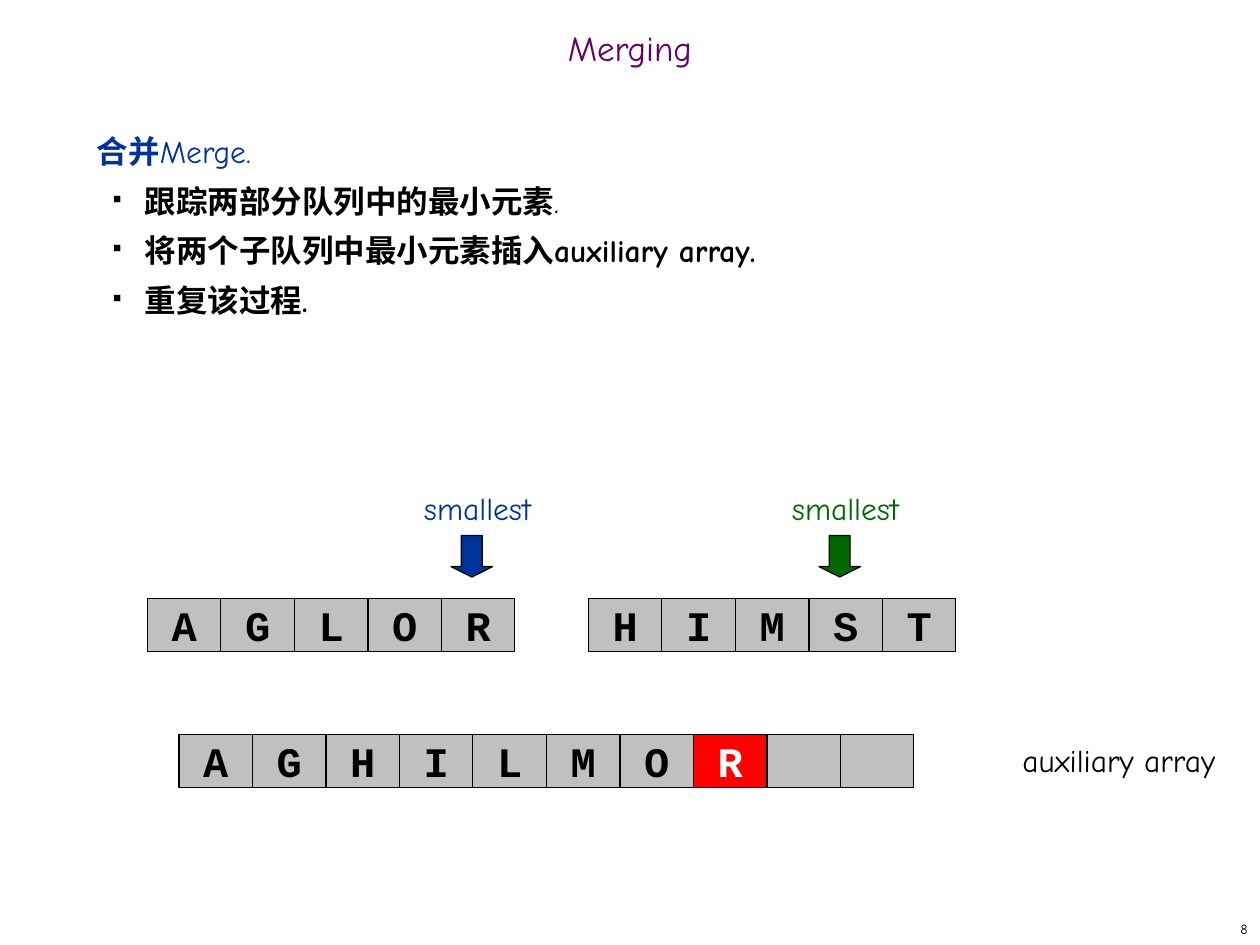
import lxml.etree
import pptx
import pptx.dml.color
import pptx.enum.shapes
import pptx.enum.text
import pptx.oxml.ns
import pptx.util

Inches = pptx.util.Inches
Pt = pptx.util.Pt
SHAPE = pptx.enum.shapes.MSO_SHAPE
ALIGN = pptx.enum.text.PP_ALIGN
ANCHOR = pptx.enum.text.MSO_ANCHOR
COLORS = {
    "black": "000000", "white": "FFFFFF", "purple": "660066", "blue": "003399",
    "green": "006600", "gray": "C0C0C0", "red": "FF0000", "outline": "010000",
}
CELL_WIDTH = 7 / 12
CELL_HEIGHT = 0.42

deck = pptx.Presentation()
deck.slide_width, deck.slide_height = Inches(10), Inches(7.5)
slide = deck.slides.add_slide(deck.slide_layouts[6])


def style_run(run, size, color, font="Comic Neue", bold=False):
    run.font.size = Pt(size)
    run.font.name = font
    run.font.bold = bold
    run.font.color.rgb = pptx.dml.color.RGBColor.from_string(COLORS[color])


def add_block(kind, left, top, width, height, fill, line):
    block = slide.shapes.add_shape(kind, Inches(left), Inches(top), Inches(width), Inches(height))
    block.shadow.inherit = False
    block.fill.solid()
    block.fill.fore_color.rgb = pptx.dml.color.RGBColor.from_string(COLORS[fill])
    block.line.color.rgb = pptx.dml.color.RGBColor.from_string(COLORS[line])
    block.line.width = Pt(0.75)
    return block


labels = [
    ("Merging", 0, 0.17, 10, 0.5, 20, "purple", ALIGN.CENTER, ANCHOR.MIDDLE, 0.7),
    ("smallest", 2.75, 3.83, 2.08, 0.4, 18, "blue", ALIGN.CENTER, ANCHOR.TOP, 1),
    ("smallest", 5.67, 3.83, 2.08, 0.4, 18, "green", ALIGN.CENTER, ANCHOR.TOP, 1),
    ("auxiliary array", 7.92, 5.83, 1.92, 0.4, 18, "black", ALIGN.CENTER, ANCHOR.TOP, 1),
    ("8", 7.92, 7.25, 2.08, 0.25, 8, "black", ALIGN.RIGHT, ANCHOR.MIDDLE, 1),
]
for text, left, top, width, height, size, color, align, anchor, spacing in labels:
    label = slide.shapes.add_textbox(Inches(left), Inches(top), Inches(width), Inches(height))
    label.text_frame.word_wrap = True
    label.text_frame.vertical_anchor = anchor
    label.text_frame.text = text
    line = label.text_frame.paragraphs[0]
    line.alignment = align
    line.line_spacing = spacing
    style_run(line.runs[0], size, color)

steps = slide.shapes.add_textbox(Inches(0.67), Inches(1), Inches(8.58), Inches(5.92)).text_frame
steps.word_wrap = True
step_texts = [
    [("合并", True), ("Merge.", False)],
    [("跟踪两部分队列中的最小元素", True), (".", False)],
    [("将两个子队列中最小元素插入auxiliary array.", True)],
    [("重复该过程.", True)],
]
for index, parts in enumerate(step_texts):
    step = steps.paragraphs[0] if index == 0 else steps.add_paragraph()
    if index:
        step.level = 1
        properties = step._p.get_or_add_pPr()
        properties.set("marL", str(Inches(0.38)))
        properties.set("indent", str(Inches(-0.25)))
        bullet_color = lxml.etree.SubElement(properties, pptx.oxml.ns.qn("a:buClr"))
        lxml.etree.SubElement(bullet_color, pptx.oxml.ns.qn("a:srgbClr"), val=COLORS["black"])
        lxml.etree.SubElement(properties, pptx.oxml.ns.qn("a:buSzPct"), val="35000")
        lxml.etree.SubElement(properties, pptx.oxml.ns.qn("a:buChar"), char="■")
        step.line_spacing = 1.1
        step.space_before = Pt(4.5)
    for text, bold in parts:
        run = step.add_run()
        run.text = text
        style_run(run, 18, "black" if index else "blue", bold=bold)

for left, color in [(3.58, "blue"), (6.5, "green")]:
    pointer = add_block(SHAPE.DOWN_ARROW, left, 4.25, 0.33, 0.33, color, "outline")
    pointer.adjustments[0] = 0.5
    pointer.adjustments[1] = 0.25

arrays = [
    ("AGLOR", 1.17, 4.75, None),
    ("HIMST", 4.67, 4.75, None),
    ("AGHILMOR  ", 1.42, 5.83, 7),
]
for letters, left, top, newest in arrays:
    for index, letter in enumerate(letters):
        fill, ink = ("red", "white") if index == newest else ("gray", "black")
        cell = add_block(SHAPE.RECTANGLE, left + index * CELL_WIDTH, top,
                         CELL_WIDTH, CELL_HEIGHT, fill, "black")
        if letter == " ":
            continue
        cell.text_frame.word_wrap = False
        cell.text_frame.vertical_anchor = ANCHOR.MIDDLE
        cell.text_frame.text = letter
        cell.text_frame.paragraphs[0].alignment = ALIGN.CENTER
        style_run(cell.text_frame.paragraphs[0].runs[0], 24, ink, "Courier New", True)

deck.save("out.pptx")
